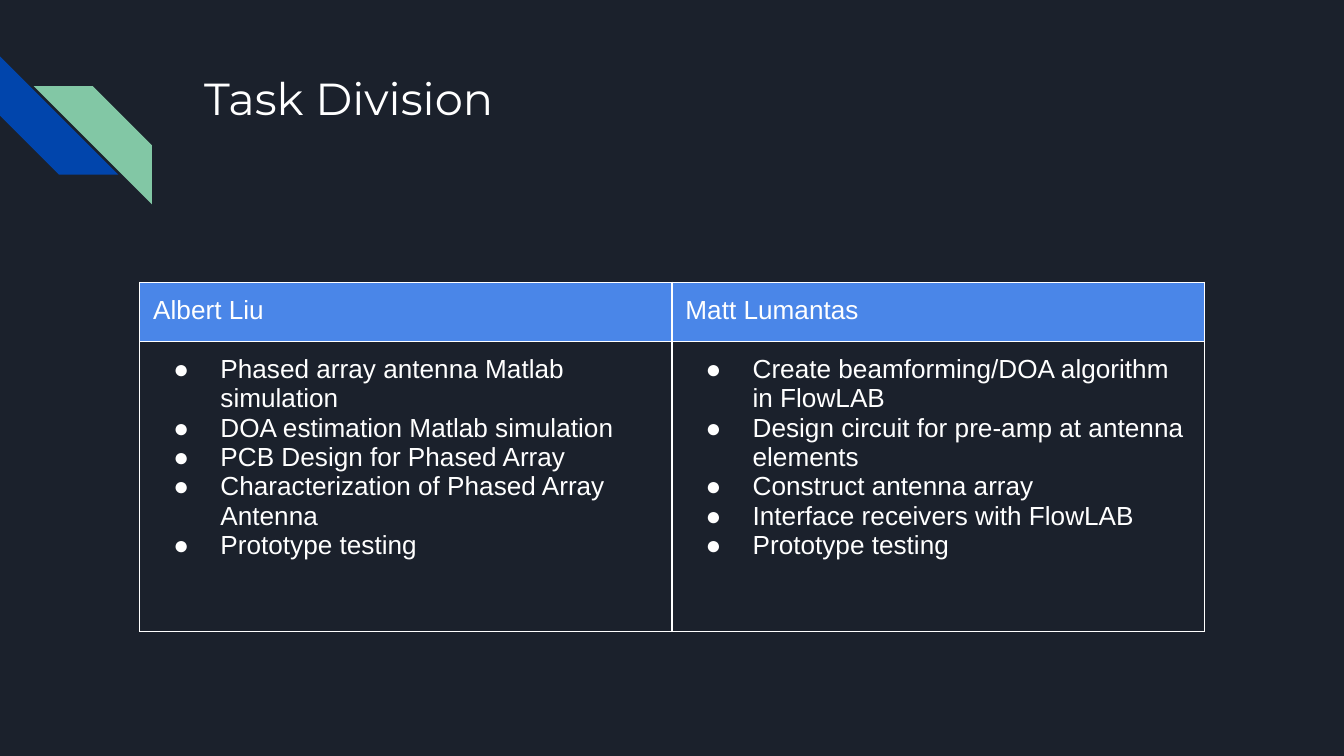
import pptx
import pptx.util
import pptx.dml.color
import pptx.enum.shapes
import pptx.enum.text
import pptx.oxml
import pptx.oxml.ns
from dataclasses import dataclass

Inches = pptx.util.Inches
Pt = pptx.util.Pt


@dataclass(frozen=True)
class Theme:
    back: str = "1B212C"
    white: str = "FFFFFF"
    blue: str = "0145AC"
    green: str = "82C7A5"
    head: str = "4A86E8"
    title: int = 24
    body: int = 14
    rule: float = 0.75


theme = Theme()


def paint(fill, tone):
    fill.solid()
    fill.fore_color.rgb = pptx.dml.color.RGBColor.from_string(tone)


def style(frame, face, size):
    for para in frame.paragraphs:
        for run in para.runs:
            run.font.name = face
            run.font.size = Pt(size)
            run.font.bold = False
            paint(run.font.fill, theme.white)


deck = pptx.Presentation()
deck.slide_width = Inches(10)
deck.slide_height = Inches(10) * 9 // 16
slide = deck.slides.add_slide(deck.slide_layouts[6])
paint(slide.background.fill, theme.back)

side = Inches(0.88)
for left, top, turn, tone in [(0, 0.42, 270, theme.blue), (0.25, 0.64, 90, theme.green)]:
    stripe = slide.shapes.add_shape(
        pptx.enum.shapes.MSO_SHAPE.DIAGONAL_STRIPE, Inches(left), Inches(top), side, side)
    stripe.adjustments[0] = 0.5
    stripe.rotation = turn
    stripe.shadow.inherit = False
    stripe.line.fill.background()
    paint(stripe.fill, tone)

title = slide.shapes.add_textbox(Inches(1.42), Inches(0.43), Inches(7.7), Inches(1))
frame = title.text_frame
frame.word_wrap = True
frame.vertical_anchor = pptx.enum.text.MSO_ANCHOR.TOP
frame.margin_left = frame.margin_right = Inches(0.1)
frame.margin_top = frame.margin_bottom = Inches(0.1)
frame.text = "Task Division"
style(frame, "Montserrat", theme.title)

tasks = {
    "Albert Liu": [
        "Phased array antenna Matlab simulation",
        "DOA estimation Matlab simulation",
        "PCB Design for Phased Array",
        "Characterization of Phased Array Antenna",
        "Prototype testing",
    ],
    "Matt Lumantas": [
        "Create beamforming/DOA algorithm in FlowLAB",
        "Design circuit for pre-amp at antenna elements",
        "Construct antenna array",
        "Interface receivers with FlowLAB",
        "Prototype testing",
    ],
}

table = slide.shapes.add_table(
    2, len(tasks), Inches(1.04), Inches(2.1), Inches(7.92), Inches(2.6)).table
table.first_row = False
table.horz_banding = False
table.rows[0].height = Inches(0.44)
table.rows[1].height = Inches(2.16)

space = pptx.oxml.ns.nsdecls("a")
for col, (name, jobs) in enumerate(tasks.items()):
    table.columns[col].width = Inches(3.96)
    table.cell(0, col).text_frame.text = name
    table.cell(1, col).text_frame.text = "\n".join(jobs)
    for para in table.cell(1, col).text_frame.paragraphs:
        props = para._p.get_or_add_pPr()
        props.set("marL", str(Inches(0.5)))
        props.set("indent", str(Inches(-0.35)))
        for mark in [
            f'<a:buClr {space}><a:srgbClr val="{theme.white}"/></a:buClr>',
            f'<a:buFont {space} typeface="Arial"/>',
            f'<a:buChar {space} char="●"/>',
        ]:
            props.append(pptx.oxml.parse_xml(mark))

for cell in table.iter_cells():
    cell.margin_left = cell.margin_right = Inches(0.1)
    cell.margin_top = cell.margin_bottom = Inches(0.1)
    style(cell.text_frame, "Arial", theme.body)
    for edge in "LRTB":
        cell._tc.get_or_add_tcPr().append(pptx.oxml.parse_xml(
            f'<a:ln{edge} {space} w="{Pt(theme.rule)}"><a:solidFill>'
            f'<a:srgbClr val="{theme.white}"/></a:solidFill></a:ln{edge}>'))
    cell.fill.background()

for cell in table.rows[0].cells:
    paint(cell.fill, theme.head)

deck.save("out.pptx")
